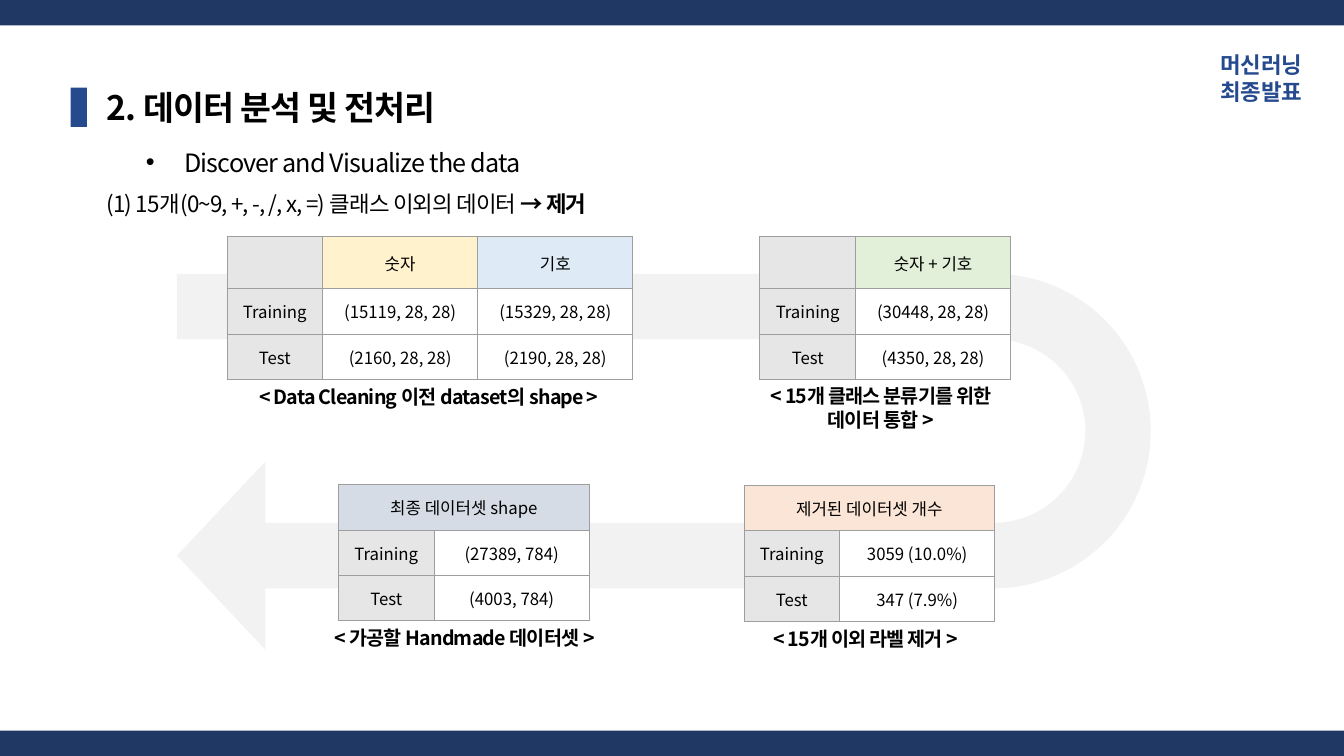
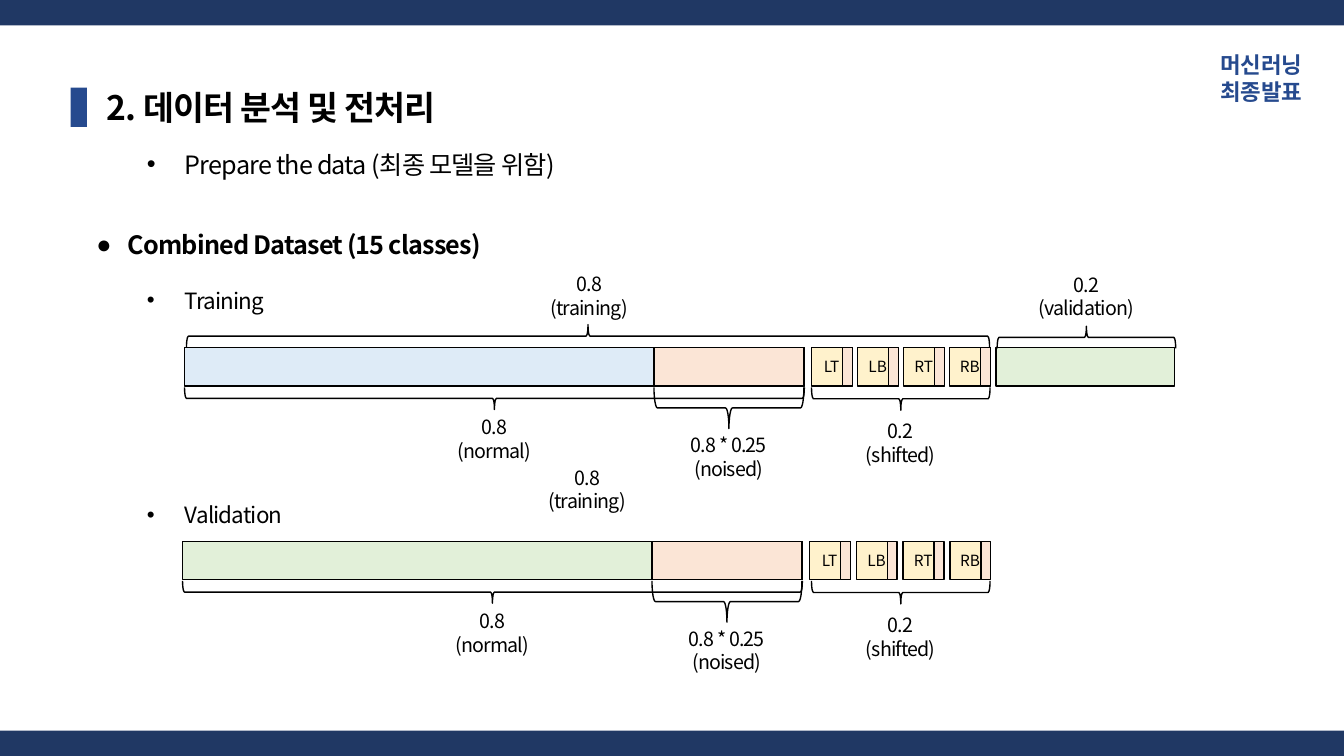
from lxml import etree
from pptx import Presentation
from pptx.dml.color import RGBColor
from pptx.enum.shapes import MSO_SHAPE
from pptx.enum.text import MSO_ANCHOR, MSO_AUTO_SIZE, PP_ALIGN
from pptx.oxml.ns import qn
from pptx.util import Cm, Pt

RECT, BRACE, UTURN = MSO_SHAPE.RECTANGLE, MSO_SHAPE.RIGHT_BRACE, MSO_SHAPE.U_TURN_ARROW
LEFT, MID, RIGHT = PP_ALIGN.LEFT, PP_ALIGN.CENTER, PP_ALIGN.RIGHT
TOP, CENTER = MSO_ANCHOR.TOP, MSO_ANCHOR.MIDDLE

FONT = "Noto Sans CJK KR"
BLACK = RGBColor(0x00, 0x00, 0x00)
WHITE = RGBColor(0xFF, 0xFF, 0xFF)
NAVY = RGBColor(0x20, 0x38, 0x64)
ROYAL = RGBColor(0x26, 0x4A, 0x8E)
PALE = RGBColor(0xF2, 0xF2, 0xF2)
GREY = RGBColor(0xE7, 0xE6, 0xE6)
EDGE = RGBColor(0x9E, 0x9E, 0x9E)
YELLOW = RGBColor(0xFF, 0xF2, 0xCC)
BLUE = RGBColor(0xDE, 0xEB, 0xF7)
GREEN = RGBColor(0xE2, 0xF0, 0xD9)
PEACH = RGBColor(0xFB, 0xE5, 0xD6)
STEEL = RGBColor(0xD6, 0xDC, 0xE5)

WIDE, HIGH, BAND = 33.87, 19.05, 0.64
BAR = 0.97


def block(page, kind, x, y, w, h, fill=None, line=None, turn=0):
    """Add a shape, or a text box if kind is None; x, y, w, h frame it as seen after a quarter turn."""
    if turn:
        x, y, w, h = x + (w - h) / 2, y + (h - w) / 2, h, w
    place = Cm(x), Cm(y), Cm(w), Cm(h)
    if kind is None:
        item = page.shapes.add_textbox(*place)
        item.text_frame.word_wrap = True
        item.text_frame.auto_size = MSO_AUTO_SIZE.SHAPE_TO_FIT_TEXT
        return item
    item = page.shapes.add_shape(kind, *place)
    item.shadow.inherit = False
    item.rotation = turn
    if fill is None:
        item.fill.background()
    else:
        item.fill.solid()
        item.fill.fore_color.rgb = fill
    if line is None:
        item.line.fill.background()
    else:
        item.line.color.rgb = line
        item.line.width = Pt(1)
    return item


def write(frame, words, size=14, bold=False, hue=BLACK, align=LEFT, lead=None,
          gap=None, track=-60, bullet=None, indent=0, hang=0, join=False):
    """Add each line of words as a paragraph; join continues the last one."""
    for words_line in words.split("\n"):
        para = frame.paragraphs[-1]
        if para.runs and not join:
            para = frame.add_paragraph()
        if not join:
            para.alignment = align
            if lead:
                para.line_spacing = lead
            if gap:
                para.space_before = Pt(gap)
        if bullet:
            props = para._p.get_or_add_pPr()
            props.set("marL", str(Cm(indent)))
            props.set("indent", str(-Cm(hang)))
            etree.SubElement(props, qn("a:buFont")).set("typeface", "Arial")
            etree.SubElement(props, qn("a:buChar")).set("char", bullet)
        run = para.add_run()
        run.text = words_line
        run.font.size = Pt(size)
        run.font.bold = bold
        run.font.color.rgb = hue
        run.font.name = FONT
        props = run._r.get_or_add_rPr()
        props.set("spc", str(track))
        etree.SubElement(props, qn("a:ea")).set("typeface", FONT)


deck = Presentation()
deck.slide_width, deck.slide_height = Cm(WIDE), Cm(HIGH)
DOT = dict(bullet="•", indent=2.23, hang=0.96, lead=2)

# Shared frame and topic line
pages = []
for topic, x, y, h in (("Discover and Visualize the data", 2.16, 2.82, 1.57),
                       ("Prepare the data (최종 모델을 위함)", 2.18, 2.87, 1.8)):
    page = deck.slides.add_slide(deck.slide_layouts[5])
    pages.append(page)
    for band in (0, HIGH - BAND):
        block(page, RECT, 0, band, WIDE, BAND, NAVY)
    block(page, RECT, 1.78, 2.21, 0.41, 0.99, ROYAL)
    title = page.shapes.title
    title.left, title.top, title.width, title.height = Cm(2.44), Cm(2.06), Cm(16.94), Cm(1.27)
    title.text_frame.vertical_anchor = TOP
    title.text_frame.auto_size = MSO_AUTO_SIZE.NONE
    write(title.text_frame, "2. 데이터 분석 및 전처리", size=24, bold=True)
    corner = block(page, None, 28.4, 1.17, 4.67, 0.94)
    write(corner.text_frame, "머신러닝\n최종발표", size=16, bold=True, hue=ROYAL, align=RIGHT, track=0)
    write(block(page, None, x, y, 16.92, h).text_frame, topic, size=18, **DOT)

# Slide 1: data cleaning flow
page = pages[0]
arrow = block(page, UTURN, 4.46, 6.9, 24.54, 9.47, PALE, turn=90)
for i, value in enumerate((0.174, 0.25, 0.235, 0.438, 1)):
    arrow.adjustments[i] = value
note = block(page, None, 2.44, 3.99, 25.4, 1.42).text_frame
write(note, "(1) 15개(0~9, +, -, /, x, =) 클래스 이외의 데이터 ", size=16, lead=2)
write(note, "→ 제거", size=16, bold=True, join=True)

tables = (
    (5.72, 5.97, 1.31, (("", GREY), ("숫자", YELLOW), ("기호", BLUE)),
     ("(15119, 28, 28)", "(15329, 28, 28)"), ("(2160, 28, 28)", "(2190, 28, 28)")),
    (19.15, 5.97, 1.31, (("", GREY), ("숫자 + 기호", GREEN)),
     ("(30448, 28, 28)",), ("(4350, 28, 28)",)),
    (18.75, 12.24, 1.14, (("제거된 데이터셋 개수", PEACH),),
     ("3059 (10.0%)",), ("347 (7.9%)",)),
    (8.53, 12.22, 1.14, (("최종 데이터셋 shape", STEEL),),
     ("(27389, 784)",), ("(4003, 784)",)),
)
for x, y, head, heads, train, test in tables:
    cols = len(train) + 1
    grid = page.shapes.add_table(3, cols, Cm(x), Cm(y), Cm(2.41 + 3.91 * (cols - 1)),
                                 Cm(head + 2.28)).table
    grid.first_row = grid.horz_banding = False
    for i in range(cols):
        grid.columns[i].width = Cm(3.91 if i else 2.41)
    for i in range(3):
        grid.rows[i].height = Cm(1.14 if i else head)
    if len(heads) == 1:
        grid.cell(0, 0).merge(grid.cell(0, 1))
        heads += (("", heads[0][1]),)
    body = [[("Training", GREY)] + [(v, WHITE) for v in train],
            [("Test", GREY)] + [(v, WHITE) for v in test]]
    for r, row in enumerate([heads] + body):
        for c, (words, fill) in enumerate(row):
            cell = grid.cell(r, c)
            cell.fill.solid()
            cell.fill.fore_color.rgb = fill
            cell.vertical_anchor = CENTER
            cell.margin_left = cell.margin_right = Cm(0.25)
            cell.margin_top = cell.margin_bottom = Cm(0.25)
            if words:
                write(cell.text_frame, words, size=12, align=MID, track=0)
            props = cell._tc.get_or_add_tcPr()
            for i, side in enumerate("LRTB"):
                edge = etree.Element(qn("a:ln" + side), w=str(Pt(0.75)))
                paint = etree.SubElement(edge, qn("a:solidFill"))
                etree.SubElement(paint, qn("a:srgbClr")).set("val", str(EDGE))
                props.insert(i, edge)

for x, y, w, h, words in (
        (5.82, 9.58, 9.98, 0.86, "< Data Cleaning 이전 dataset의 shape >"),
        (18.59, 9.55, 7.21, 1.45, "< 15개 클래스 분류기를 위한 데이터 통합 >"),
        (18.21, 15.67, 7.21, 0.86, "< 15개 이외 라벨 제거 >"),
        (8.1, 15.65, 7.21, 0.86, "< 가공할 Handmade 데이터셋 >")):
    write(block(page, None, x, y, w, h).text_frame, words, bold=True, align=MID)

# Slide 2: dataset splits
page = pages[1]
items = block(page, None, 2.18, 4.9, 16.94, 9.93).text_frame
write(items, "Combined Dataset (15 classes)", size=18, bold=True, bullet="●",
      indent=0.79, hang=0.79, lead=2)
write(items, "Training", size=16, **DOT)
write(items, "Validation", size=16, gap=115, **DOT)

block(page, RECT, 25.1, 8.76, 4.5, BAR, GREEN, BLACK)
marks = [(4.7, 8.18, 20.24, 0.58, 270), (25.13, 8.22, 4.5, 0.56, 270)]
labels = [(27.38, 6.75, "0.2\n(validation)")]
for left, top, hue, first, step in ((4.65, 8.76, BLUE, 20.45, 1.16),
                                    (4.6, 13.64, GREEN, 20.4, 1.18)):
    block(page, RECT, left, top, 15.62, BAR, hue, BLACK)
    block(page, RECT, left + 11.83, top, 3.78, BAR, PEACH, BLACK)
    for i, name in enumerate(("LT", "LB", "RT", "RB")):
        x = first + step * i
        chip = block(page, RECT, x, top, 1.02, BAR, YELLOW, BLACK).text_frame
        chip.margin_left = chip.margin_right = 0
        chip.vertical_anchor = CENTER
        write(chip, name, size=11, align=MID, track=0)
        block(page, RECT, x + 0.78, top, 0.25, BAR, PEACH, BLACK)
    labels.append((left + 10.2, top - 2.03, "0.8\n(training)"))
    for x, w, deep, drop, words in ((left, 15.62, 0.56, 1.58, "0.8\n(normal)"),
                                    (left + 11.83, 3.78, 1.04, 2.03, "0.8 * 0.25\n(noised)"),
                                    (20.45, 4.5, 0.58, 1.68, "0.2\n(shifted)")):
        marks.append((x, top + 1, w, deep, 90))
        labels.append((x + w / 2, top + drop, words))
for x, y, w, h, turn in marks:
    block(page, BRACE, x, y, w, h, line=BLACK, turn=turn)
for mid, y, words in labels:
    write(block(page, None, mid - 1.6, y, 3.2, 1.45).text_frame, words, align=MID)

deck.save("out.pptx")
